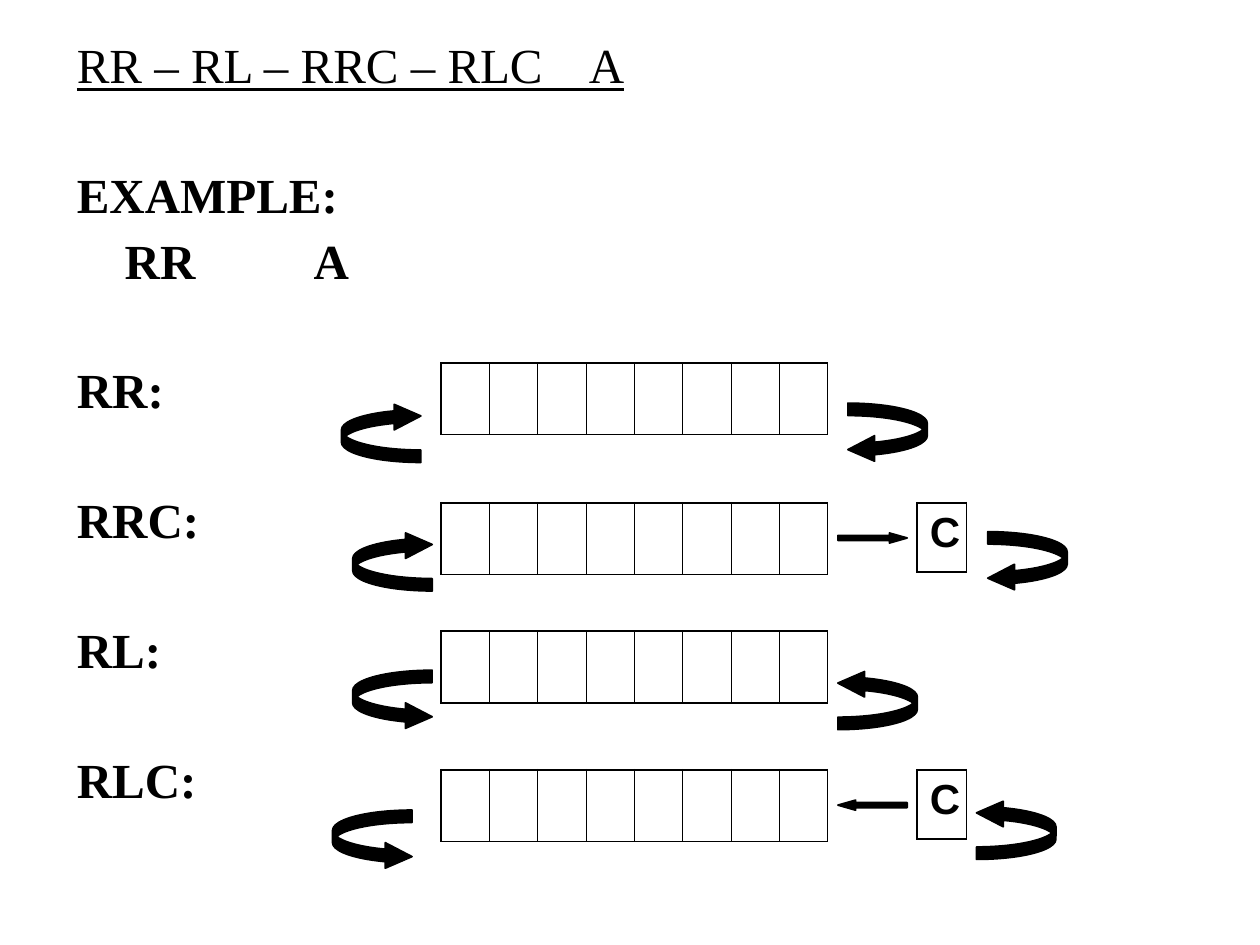
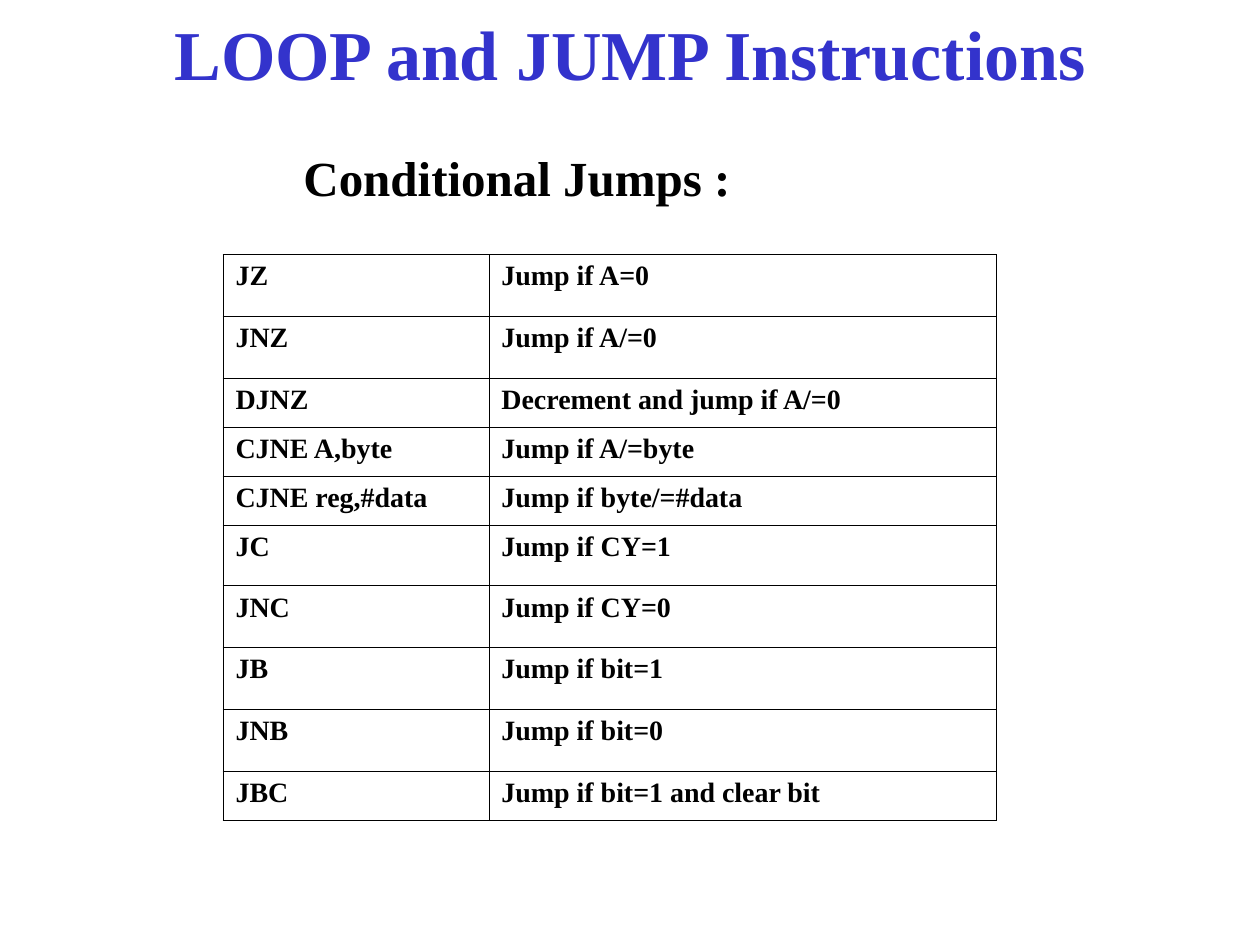
from lxml import etree
from pptx import Presentation
from pptx.dml.color import RGBColor
from pptx.enum import shapes, text
from pptx.oxml import ns
from pptx.util import Inches, Pt

BLACK = RGBColor(0, 0, 0)
BLUE = RGBColor(0x33, 0x33, 0xCC)
SERIF = "Times New Roman"
SANS = "Arial"
THIN, THICK = 0.45, 1.08


def style(para, size, color=BLACK, face=SERIF, bold=True):
    for run in para.runs:
        run.font.size = Pt(size)
        run.font.name = face
        run.font.bold = bold
        run.font.color.rgb = color


def grid(slide, left, top, widths, heights, rim, inner):
    """Add an unfilled table with black rules; rim gives the outer L, R, T, B widths."""
    rows, cols = len(heights), len(widths)
    table = slide.shapes.add_table(rows, cols, Inches(left), Inches(top),
                                   Inches(sum(widths)), Inches(sum(heights))).table
    table.first_row = table.horz_banding = False
    for col, width in zip(table.columns, widths):
        col.width = Inches(width)
    for row, height in zip(table.rows, heights):
        row.height = Inches(height)
    for r in range(rows):
        for c in range(cols):
            cell = table.cell(r, c)
            cell.fill.background()
            props = cell._tc.get_or_add_tcPr()
            outer = (c == 0, c == cols - 1, r == 0, r == rows - 1)
            for i, side in enumerate("LRTB"):
                width = rim if outer[i] else inner
                line = etree.Element(ns.qn("a:ln" + side), w=str(Pt(width)))
                fill = etree.SubElement(line, ns.qn("a:solidFill"))
                etree.SubElement(fill, ns.qn("a:srgbClr"), val=str(BLACK))
                props.insert(i, line)
    return table


prs = Presentation()
prs.slide_width = Inches(10)
prs.slide_height = Inches(7.5)

# Slide 1: rotate instructions
slide = prs.slides.add_slide(prs.slide_layouts[1])
title = slide.shapes.title
title.element.getparent().remove(title.element)

body = slide.placeholders[1]
body.left, body.top = Inches(0.51), Inches(0.28)
body.width, body.height = Inches(9), Inches(6.38)
frame = body.text_frame
frame.auto_size = text.MSO_AUTO_SIZE.NONE
lines = ["RR – RL – RRC – RLC    A", "EXAMPLE:", "\tRR\t\tA",
         "RR:", "RRC:", "RL:", "RLC:"]
for i, line in enumerate(lines):
    para = frame.paragraphs[0] if i == 0 else frame.add_paragraph()
    para.text = line
    para.line_spacing = 0.9
    para.space_before = Pt(7 if i in (0, 2) else 44)
    style(para, 28, bold=i > 0)
    props = para._p.get_or_add_pPr()
    props.set("marL", str(Inches(0.38)))
    props.set("indent", str(Inches(-0.38)))
    etree.SubElement(props, ns.qn("a:buNone"))
    tabs = etree.SubElement(props, ns.qn("a:tabLst"))
    for stop in range(8):
        etree.SubElement(tabs, ns.qn("a:tab"), pos=str(Inches(stop)), algn="l")
frame.paragraphs[0].runs[0].font.underline = True

kind = shapes.MSO_SHAPE
RIGHT, LEFT = kind.CURVED_LEFT_ARROW, kind.CURVED_RIGHT_ARROW

# register top, curl shape, left curl (x, y), right curl (x, y), carry arrow
turns = [
    (2.88, RIGHT, (2.71, 3.2), (6.73, 3.2), None),
    (3.99, RIGHT, (2.8, 4.22), (7.84, 4.22), kind.RIGHT_ARROW),
    (5.01, LEFT, (2.8, 5.32), (6.65, 5.32), None),
    (6.11, LEFT, (2.64, 6.43), (7.75, 6.35), kind.LEFT_ARROW),
]
for top, curl, west, east, carry in turns:
    grid(slide, 3.5, top, [3.07 / 8] * 8, [0.57], THICK, THIN)
    # The curl on the far side is the same shape turned half round.
    marks = [(curl, *west, 0.63, 0.47, 180 if curl == RIGHT else 0, (0.21, 0.43, 0.45)),
             (curl, *east, 0.63, 0.47, 180 if curl == LEFT else 0, (0.21, 0.43, 0.45))]
    if carry:
        box = grid(slide, 7.28, top, [0.39], [0.55], THICK, THIN)
        para = box.cell(0, 0).text_frame.paragraphs[0]
        para.text = "C"
        para.space_before = Pt(6)
        style(para, 24, face=SANS)
        marks.append((carry, 6.65, top + 0.24, 0.55, 0.08, 0, (0.5, 1.76)))
    for form, x, y, width, height, turn, adjust in marks:
        arrow = slide.shapes.add_shape(form, Inches(x), Inches(y),
                                       Inches(width), Inches(height))
        for i, value in enumerate(adjust):
            arrow.adjustments[i] = value
        arrow.rotation = turn
        arrow.shadow.inherit = False
        arrow.fill.solid()
        arrow.fill.fore_color.rgb = BLACK
        arrow.line.color.rgb = BLACK
        arrow.line.width = Pt(1)

# Slide 2: conditional jumps
slide = prs.slides.add_slide(prs.slide_layouts[5])
title = slide.shapes.title
title.left, title.top = Inches(0), Inches(0)
title.width, title.height = Inches(10), Inches(0.83)
frame = title.text_frame
frame.text = "LOOP and JUMP Instructions"
frame.auto_size = text.MSO_AUTO_SIZE.NONE
frame.vertical_anchor = text.MSO_ANCHOR.MIDDLE
frame.paragraphs[0].alignment = text.PP_ALIGN.CENTER
style(frame.paragraphs[0], 40, BLUE)

jumps = [
    ("JZ", "Jump if A=0", 0.49),
    ("JNZ", "Jump if A/=0", 0.49),
    ("DJNZ", "Decrement and jump if A/=0", 0.39),
    ("CJNE A,byte", "Jump if A/=byte", 0.39),
    ("CJNE reg,#data", "Jump if byte/=#data", 0.39),
    ("JC", "Jump if CY=1", 0.48),
    ("JNC", "Jump if CY=0", 0.49),
    ("JB", "Jump if bit=1", 0.49),
    ("JNB", "Jump if bit=0", 0.49),
    ("JBC", "Jump if bit=1 and clear bit", 0.39),
]
table = grid(slide, 1.77, 2.02, [2.11, 4.03], [jump[2] for jump in jumps], THIN, THIN)
for r, jump in enumerate(jumps):
    for c in range(2):
        para = table.cell(r, c).text_frame.paragraphs[0]
        para.text = jump[c]
        style(para, 16)

head = slide.shapes.add_textbox(Inches(2.31), Inches(1.12), Inches(3.59), Inches(0.57))
frame = head.text_frame
frame.text = "Conditional Jumps :"
frame.word_wrap = False
frame.auto_size = text.MSO_AUTO_SIZE.SHAPE_TO_FIT_TEXT
style(frame.paragraphs[0], 28)

prs.save("out.pptx")
